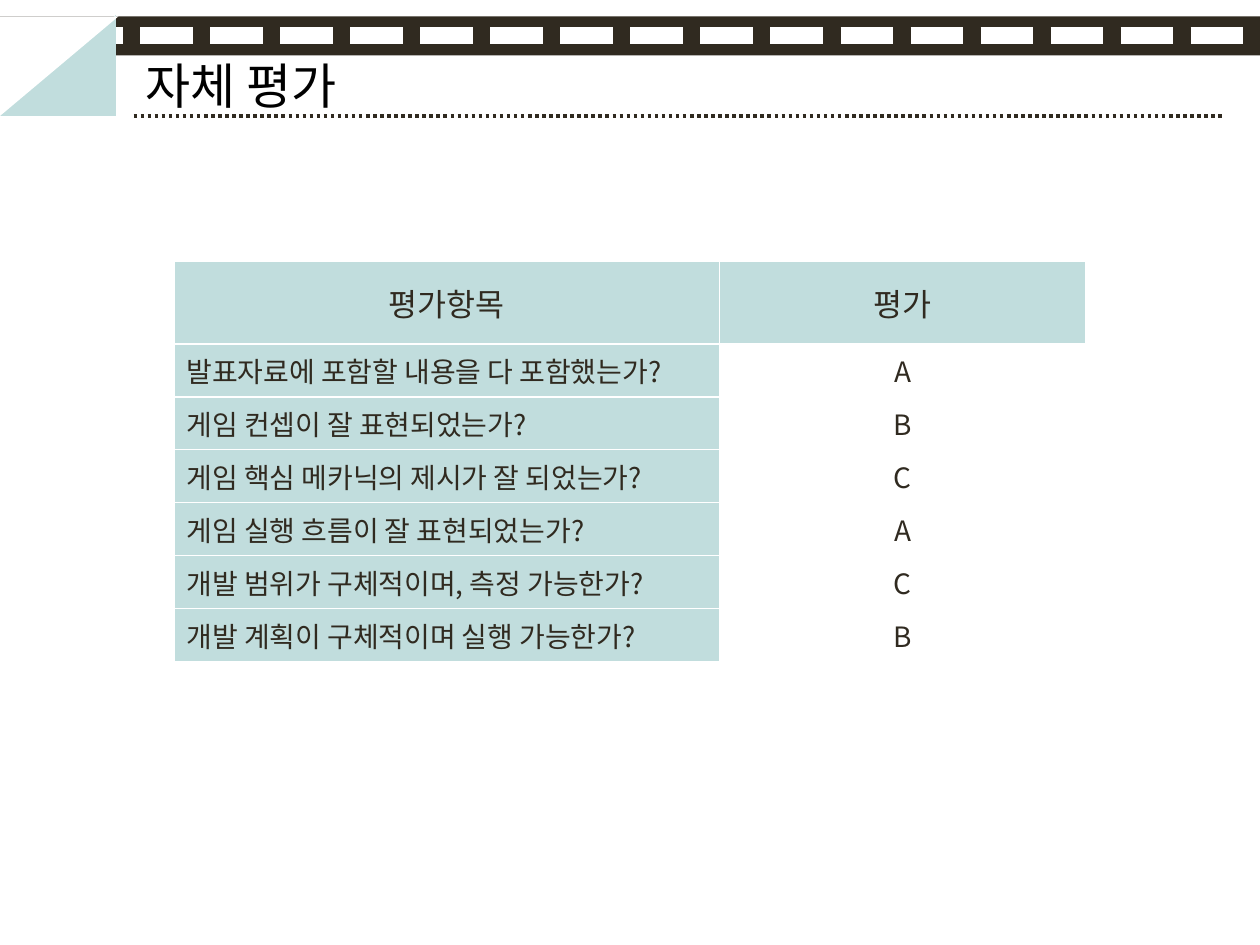
from pptx import Presentation
from pptx.dml.color import RGBColor
from pptx.enum.dml import MSO_LINE
from pptx.enum.shapes import MSO_CONNECTOR, MSO_SHAPE
from pptx.enum.text import MSO_ANCHOR, PP_ALIGN
from pptx.oxml.ns import qn
from pptx.util import Inches, Pt
from lxml.etree import SubElement

COLORS = {"dark": "302A20", "mint": "C1DDDD", "white": "FFFFFF", "black": "000000"}
FONT = "Noto Sans CJK KR"
ROWS = [
    ("평가항목", "평가"),
    ("발표자료에 포함할 내용을 다 포함했는가?", "A"),
    ("게임 컨셉이 잘 표현되었는가?", "B"),
    ("게임 핵심 메카닉의 제시가 잘 되었는가?", "C"),
    ("게임 실행 흐름이 잘 표현되었는가?", "A"),
    ("개발 범위가 구체적이며, 측정 가능한가?", "C"),
    ("개발 계획이 구체적이며 실행 가능한가?", "B"),
]


class SlideBuilder:
    """Hold the style and the current slide, and add elements to it."""

    def __init__(self, s, font, colors):
        self.s, self.font = s, font
        self.colors = {name: RGBColor.from_string(c) for name, c in colors.items()}

    def fill(self, target, color):
        target.fill.solid()
        target.fill.fore_color.rgb = self.colors[color]

    def add_text(self, tf, text, size, color, align=PP_ALIGN.LEFT):
        p = tf.paragraphs[0]
        p.alignment = align
        r = p.add_run()
        r.text = text
        for name, value in {"size": Pt(size), "name": self.font}.items():
            setattr(r.font, name, value)
        r.font.color.rgb = self.colors[color]
        SubElement(r._r.get_or_add_rPr(), qn("a:ea"), typeface=self.font)

    def text(self, box, text, size, color):
        tf = self.s.shapes.add_textbox(*map(Inches, box)).text_frame
        for name, value in {"word_wrap": True, "vertical_anchor": MSO_ANCHOR.MIDDLE}.items():
            setattr(tf, name, value)
        self.add_text(tf, text, size, color)

    def shape(self, kind, box, color, rotation=0):
        sp = self.s.shapes.add_shape(kind, *map(Inches, box))
        self.fill(sp, color)
        sp.line.fill.background()
        sp.shadow.inherit = False
        sp.rotation = rotation
        return sp

    def corner(self, box, color, rotation=0):
        self.shape(MSO_SHAPE.ISOSCELES_TRIANGLE, box, color, rotation).adjustments[0] = 1

    def line(self, x1, x2, y, color, width, dash):
        ln = self.s.shapes.add_connector(MSO_CONNECTOR.STRAIGHT, *map(Inches, (x1, y, x2, y)))
        for name, value in {"width": Pt(width), "dash_style": dash}.items():
            setattr(ln.line, name, value)
        ln.line.color.rgb = self.colors[color]
        SubElement(ln._element.spPr, qn("a:effectLst"))

    def table(self, box, widths, heights, rows):
        table = self.s.shapes.add_table(len(rows), len(widths), *map(Inches, box)).table
        for col, width in zip(table.columns, widths):
            col.width = Inches(width)
        for i, (row, height) in enumerate(zip(rows, heights)):
            table.rows[i].height = Inches(height)
            for j, text in enumerate(row):
                header, label = i == 0, j == 0
                cell = table.cell(i, j)
                cell.vertical_anchor = MSO_ANCHOR.MIDDLE
                self.fill(cell, "mint" if header or label else "white")
                align = PP_ALIGN.LEFT if label and not header else PP_ALIGN.CENTER
                self.add_text(cell.text_frame, text, 18 if header else 16, "dark", align)


def main():
    prs = Presentation()
    prs.slide_width, prs.slide_height = Inches(10), Inches(7.5)
    s = prs.slides.add_slide(prs.slide_layouts[6])
    b = SlideBuilder(s, FONT, COLORS)
    b.text((1.06, 0.44, 8.6, 0.47), "자체 평가", 28, "black")
    b.shape(MSO_SHAPE.RECTANGLE, (0, 0.13, 10, 0.31), "dark")
    b.line(0, 10, 0.28, "white", 10, MSO_LINE.SQUARE_DOT)
    b.corner((-0.01, 0.12, 0.93, 0.8), "mint")
    b.corner((0, 0.13, 0.94, 0.79), "white", 180)
    b.line(1.06, 9.72, 0.92, "dark", 2, MSO_LINE.ROUND_DOT)
    heights = [0.66] + [0.42] * (len(ROWS) - 1)
    b.table((1.38, 2.07, 7.24, sum(heights)), (4.33, 2.91), heights, ROWS)
    prs.save("out.pptx")


if __name__ == "__main__":
    main()
